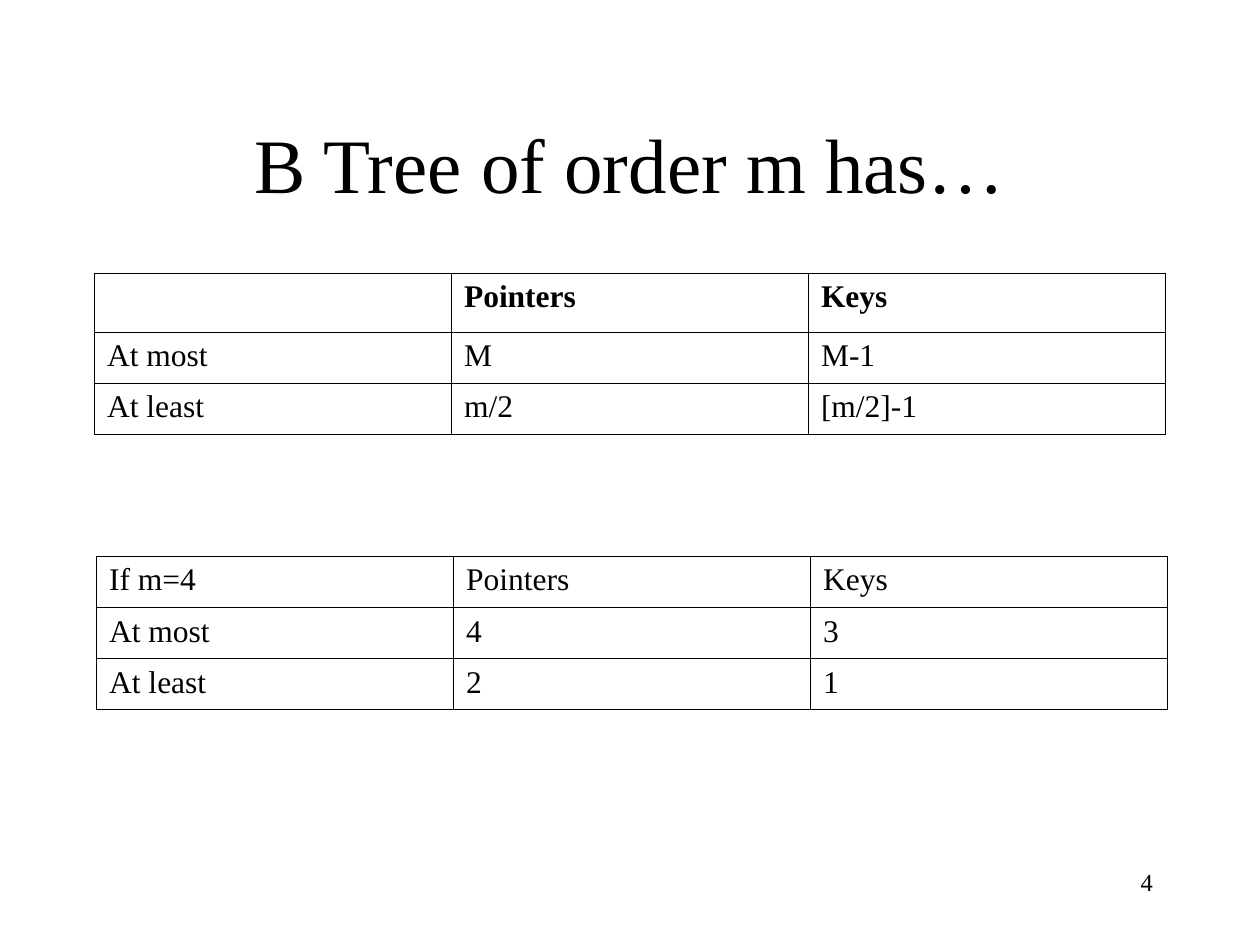
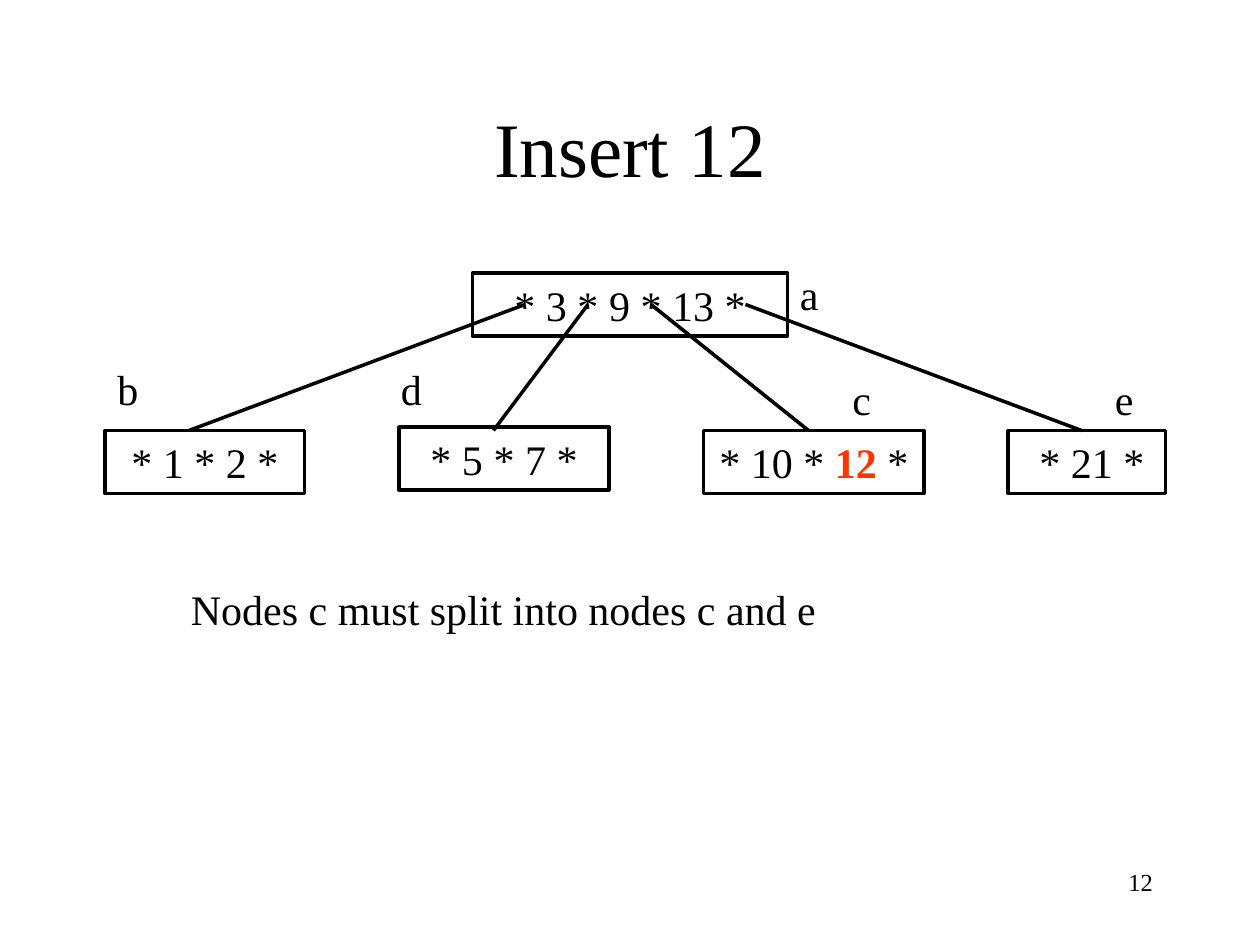
"""Build two slides about B trees: capacity tables and an insertion diagram."""
from lxml import etree
from pptx import Presentation
from pptx.dml.color import RGBColor
from pptx.enum import shapes, text
from pptx.oxml import ns
from pptx.util import Pt

COLOURS = {"ink": "000000", "paper": "FFFFFF", "inserted": "FF3300"}
FONT = "Times New Roman"
TITLE_LEFT, TITLE_TOP, TITLE_WIDTH = 54, 48, 612
NODE_HEIGHT = 36
COLUMN_WIDTH, ROW_HEIGHT, TALL_ROW_HEIGHT = 204, 29.2, 33.7


def colour(name):
    return RGBColor.from_string(COLOURS[name])


def write(paragraph, content, size=24, ink="ink", bold=False,
          align=text.PP_ALIGN.LEFT):
    paragraph.alignment = align
    run = paragraph.add_run()
    run.text = content
    run.font.name = FONT
    run.font.size = Pt(size)
    run.font.bold = bold
    run.font.color.rgb = colour(ink)


def prepare_frame(shape, anchor=text.MSO_ANCHOR.TOP):
    frame = shape.text_frame
    frame.word_wrap = True
    frame.auto_size = text.MSO_AUTO_SIZE.NONE
    frame.vertical_anchor = anchor
    return frame.paragraphs[0]


def add_titled_slide(presentation, title, title_height, page):
    slide = presentation.slides.add_slide(presentation.slide_layouts[5])
    slide.background.fill.solid()
    slide.background.fill.fore_color.rgb = colour("paper")
    shape = slide.shapes.title
    shape.left, shape.top = Pt(TITLE_LEFT), Pt(TITLE_TOP)
    shape.width, shape.height = Pt(TITLE_WIDTH), Pt(title_height)
    write(prepare_frame(shape, text.MSO_ANCHOR.MIDDLE), title, size=44,
          align=text.PP_ALIGN.CENTER)
    add_label(slide, page, 516, 492, width=150, size=14,
              align=text.PP_ALIGN.RIGHT)
    return slide


def add_label(slide, content, left, top, width=36, **text_format):
    shape = slide.shapes.add_textbox(Pt(left), Pt(top), Pt(width), Pt(36))
    write(prepare_frame(shape), content, **text_format)


def add_node(slide, runs, left, top, width):
    node = slide.shapes.add_shape(shapes.MSO_SHAPE.RECTANGLE, Pt(left),
                                  Pt(top), Pt(width), Pt(NODE_HEIGHT))
    node.shadow.inherit = False
    node.fill.background()
    node.line.color.rgb = colour("ink")
    node.line.width = Pt(2)
    paragraph = prepare_frame(node)
    for content, text_format in runs:
        write(paragraph, content, align=text.PP_ALIGN.CENTER, **text_format)


def add_branch(slide, start, end):
    branch = slide.shapes.add_connector(
        shapes.MSO_CONNECTOR.STRAIGHT, *map(Pt, start + end))
    branch.line.color.rgb = colour("ink")
    branch.line.width = Pt(2)
    etree.SubElement(branch._element.spPr, ns.qn("a:effectLst"))


def set_borders(cell):
    properties = cell._tc.get_or_add_tcPr()
    for side in ("a:lnL", "a:lnR", "a:lnT", "a:lnB"):
        line = etree.SubElement(properties, ns.qn(side), w=str(Pt(0.45)))
        fill = etree.SubElement(line, ns.qn("a:solidFill"))
        etree.SubElement(fill, ns.qn("a:srgbClr"), val=COLOURS["ink"])


def add_grid(slide, rows, left, top, header_height=ROW_HEIGHT,
             bold_header=False):
    heights = [header_height] + [ROW_HEIGHT] * (len(rows) - 1)
    columns = len(rows[0])
    table = slide.shapes.add_table(
        len(rows), columns, Pt(left), Pt(top), Pt(columns * COLUMN_WIDTH),
        Pt(sum(heights))).table
    table.first_row = table.horz_banding = False
    for column in table.columns:
        column.width = Pt(COLUMN_WIDTH)
    for row_index, (values, height) in enumerate(zip(rows, heights)):
        table.rows[row_index].height = Pt(height)
        for column_index, value in enumerate(values):
            cell = table.cell(row_index, column_index)
            set_borders(cell)
            cell.fill.background()
            if value:
                write(cell.text_frame.paragraphs[0], value, size=18,
                      bold=bold_header and row_index == 0)


def build_capacity_slide(presentation):
    slide = add_titled_slide(presentation, "B Tree of order m has…", 90, "4")
    add_grid(slide, [("", "Pointers", "Keys"),
                     ("At most", "M", "M-1"),
                     ("At least", "m/2", "[m/2]-1")],
             54, 156, header_height=TALL_ROW_HEIGHT, bold_header=True)
    add_grid(slide, [("If m=4", "Pointers", "Keys"),
                     ("At most", "4", "3"),
                     ("At least", "2", "1")], 55.2, 318)


def build_insert_slide(presentation):
    slide = add_titled_slide(presentation, "Insert 12", 72, "12")
    split_node = [("* 10 * ", {}), ("12", {"ink": "inserted", "bold": True}),
                  (" *", {})]
    for runs, left, top, width in (
            ([("* 3 * 9 * 13 *", {})], 270, 156, 180),
            ([("* 1 * 2 *", {})], 60, 246, 114),
            ([(" * 21 *", {})], 576, 246, 90),
            ([("* 5 * 7 *", {})], 228, 244, 120),
            (split_node, 402, 246, 126)):
        add_node(slide, runs, left, top, width)
    for pointer_x, child_x in ((300, 108), (336, 282), (372, 462), (426, 618)):
        add_branch(slide, (pointer_x, 174), (child_x, 246))
    for name, left, top in (("a", 450, 150), ("b", 60, 204), ("d", 222, 204),
                            ("e", 630, 210), ("c", 480, 210)):
        add_label(slide, name, left, top)
    add_label(slide, "Nodes c must split into nodes c and e", 102, 330,
              width=498)


def main():
    presentation = Presentation()
    presentation.slide_width, presentation.slide_height = Pt(720), Pt(540)
    build_capacity_slide(presentation)
    build_insert_slide(presentation)
    presentation.save("out.pptx")


if __name__ == "__main__":
    main()
